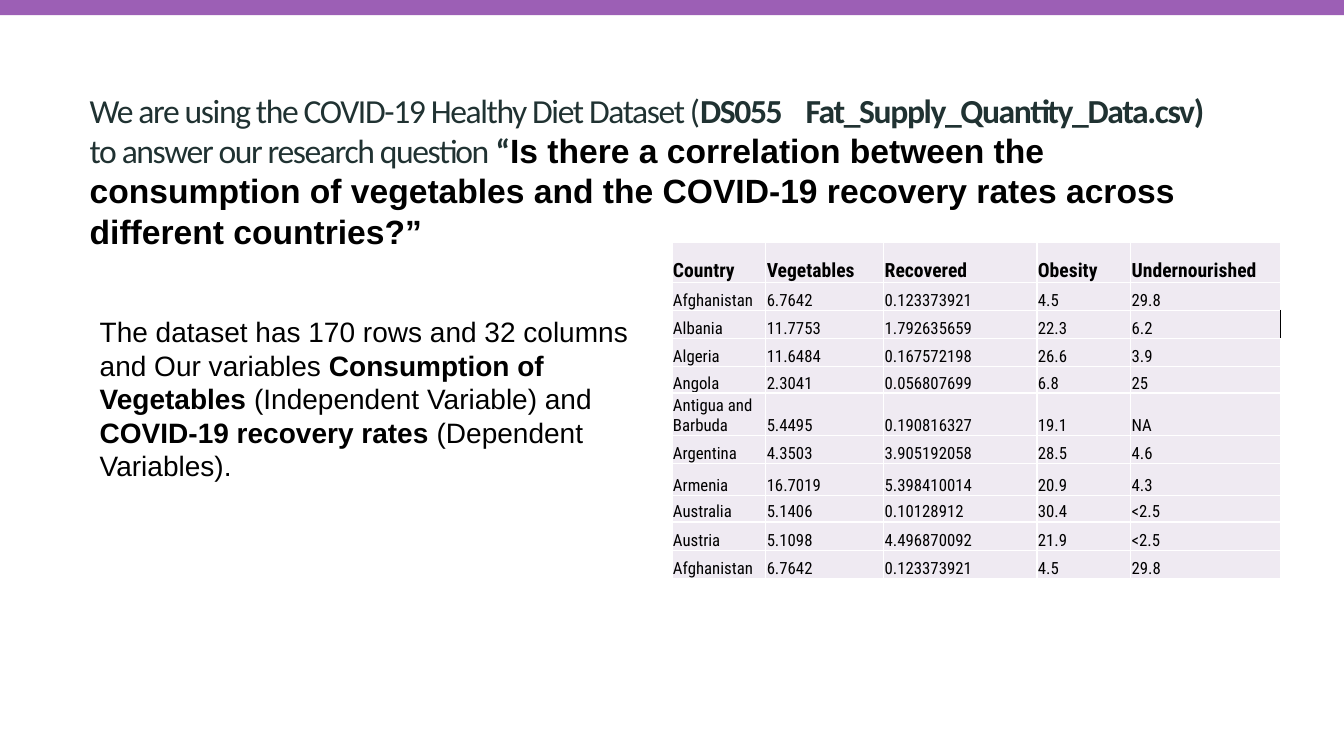
from lxml import etree
from pptx import Presentation
from pptx.dml.color import RGBColor
from pptx.enum.shapes import MSO_SHAPE as Shape
from pptx.enum.text import MSO_ANCHOR as Anchor
from pptx.oxml.ns import qn
from pptx.util import Inches, Pt

PURPLE = RGBColor(0x9C, 0x5F, 0xB5)
LILAC = RGBColor(0xEF, 0xEA, 0xF2)
SLATE = RGBColor(0x20, 0x32, 0x32)
BLACK = RGBColor(0, 0, 0)
WHITE = RGBColor(255, 255, 255)

WIDE, HIGH = 13.33, 7.5
LEFT = 0.89
COLS = [0.93, 1.17, 1.52, 0.93, 1.49]
ROWS = [0.4, 0.28, 0.28, 0.28, 0.26, 0.42, 0.28, 0.32, 0.26, 0.28, 0.28]
MARKED = (2, 4)
DATA = [
    ("Country", "Vegetables", "Recovered", "Obesity", "Undernourished"),
    ("Afghanistan", "6.7642", "0.123373921", "4.5", "29.8"),
    ("Albania", "11.7753", "1.792635659", "22.3", "6.2"),
    ("Algeria", "11.6484", "0.167572198", "26.6", "3.9"),
    ("Angola", "2.3041", "0.056807699", "6.8", "25"),
    ("Antigua and Barbuda", "5.4495", "0.190816327", "19.1", "NA"),
    ("Argentina", "4.3503", "3.905192058", "28.5", "4.6"),
    ("Armenia", "16.7019", "5.398410014", "20.9", "4.3"),
    ("Australia", "5.1406", "0.10128912", "30.4", "<2.5"),
    ("Austria", "5.1098", "4.496870092", "21.9", "<2.5"),
    ("Afghanistan", "6.7642", "0.123373921", "4.5", "29.8"),
]


def style(run, size, name, color, bold=False):
    font = run.font
    font.size, font.name, font.bold = Pt(size), name, bold
    font.color.rgb = color


def add_run(para, text, *look):
    run = para.add_run()
    run.text = text
    style(run, *look)
    return run


def add_text(slide, box, pads):
    """Add a wrapping text box and return its frame."""
    frame = slide.shapes.add_textbox(*map(Inches, box)).text_frame
    frame.word_wrap = True
    frame.margin_left = frame.margin_right = Inches(pads[0])
    frame.margin_top = frame.margin_bottom = Inches(pads[1])
    return frame


def add_bar(slide, box):
    bar = slide.shapes.add_shape(Shape.RECTANGLE, *map(Inches, box))
    bar.shadow.inherit = False
    bar.fill.solid()
    bar.fill.fore_color.rgb = PURPLE
    bar.line.fill.background()


def add_title(slide, box):
    para = add_text(slide, box, (0, 0)).paragraphs[0]
    para.line_spacing, para.space_after = Pt(28.8), Pt(9.9)
    tabs = etree.SubElement(para._p.get_or_add_pPr(), qn("a:tabLst"))
    etree.SubElement(tabs, qn("a:tab"), pos=str(Inches(7.1)), algn="l")
    for text, bold in (
        ("We are using the COVID-19 Healthy Diet Dataset (", False),
        ("DS055\tFat_Supply_Quantity_Data.csv) ", True),
        ("to answer our research question ", False),
        ("“", True),
    ):
        run = add_run(para, text, 24, "Calibri", SLATE, bold)
        run.font._element.set("spc", "-100")
    add_run(para, "Is there a correlation between the consumption of vegetables "
            "and the COVID-19 recovery rates across different countries?”",
            24, "Arial", BLACK, True)


def add_note(slide, box):
    para = add_text(slide, box, (0.1, 0.05)).paragraphs[0]
    for text, bold in (
        ("The dataset has 170 rows and 32 columns and Our variables ", False),
        ("Consumption of Vegetables ", True),
        ("(Independent Variable) and ", False),
        ("COVID-19 recovery rates ", True),
        ("(Dependent Variables).", False),
    ):
        add_run(para, text, 20, "Arial", BLACK, bold)


def set_edge(cell, side, color, width):
    """Draw one cell border; call before the fill is set."""
    line = etree.SubElement(cell._tc.get_or_add_tcPr(), qn("a:ln" + side),
                            w=str(Pt(width)))
    fill = etree.SubElement(line, qn("a:solidFill"))
    etree.SubElement(fill, qn("a:srgbClr"), val=str(color))


def set_cell(cell, text, head, marked):
    for side in "LRTB":
        if marked and side == "R":
            set_edge(cell, side, BLACK, 1)
        else:
            set_edge(cell, side, WHITE, 0.96)
    cell.fill.solid()
    cell.fill.fore_color.rgb = LILAC
    cell.vertical_anchor = Anchor.BOTTOM
    cell.margin_left = cell.margin_right = cell.margin_top = Inches(0.01)
    cell.margin_bottom = 0
    cell.text_frame.text = text
    run = cell.text_frame.paragraphs[0].runs[0]
    style(run, 14 if head else 12, "Roboto Condensed", BLACK, head)


def add_grid(slide, left, top):
    box = (left, top, sum(COLS), sum(ROWS))
    table = slide.shapes.add_table(len(ROWS), len(COLS),
                                   *map(Inches, box)).table
    table.horz_banding = False
    for col, width in zip(table.columns, COLS):
        col.width = Inches(width)
    for r, (values, height) in enumerate(zip(DATA, ROWS)):
        table.rows[r].height = Inches(height)
        for c, text in enumerate(values):
            set_cell(table.cell(r, c), text, r == 0, (r, c) == MARKED)


def main():
    deck = Presentation()
    deck.slide_width, deck.slide_height = Inches(WIDE), Inches(HIGH)
    slide = deck.slides.add_slide(deck.slide_layouts[6])
    add_bar(slide, (0, 0, WIDE, HIGH / 50))
    add_title(slide, (LEFT, 0.89, 11.06, 0.64))
    add_grid(slide, WIDE / 2, 2.4)
    add_note(slide, (LEFT, 3.07, 5.45, 1.78))
    deck.save("out.pptx")


if __name__ == "__main__":
    main()
